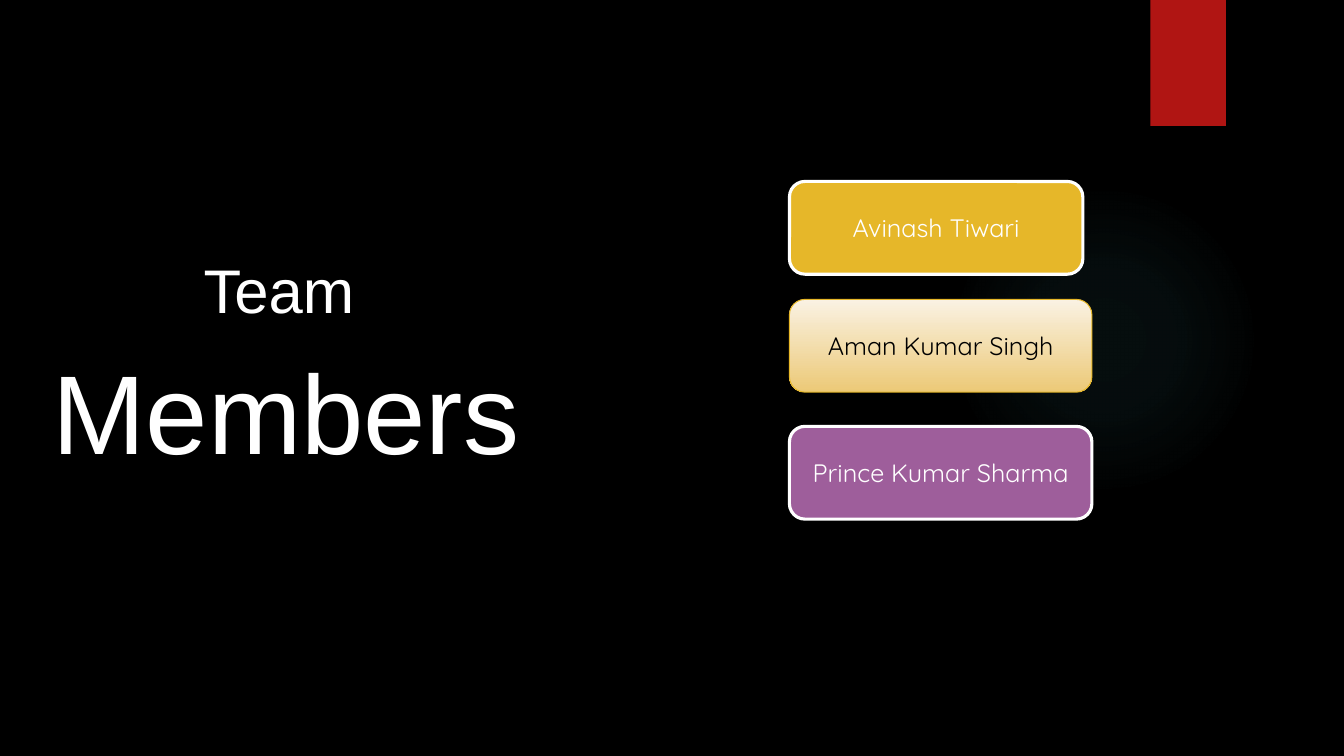
from lxml import etree
from pptx import Presentation
from pptx.dml.color import RGBColor
from pptx.enum.shapes import MSO_SHAPE
from pptx.enum.text import MSO_ANCHOR, MSO_AUTO_SIZE, PP_ALIGN
from pptx.oxml import parse_xml
from pptx.oxml.ns import nsdecls, qn
from pptx.util import Inches, Pt

BLACK = RGBColor(0x00, 0x00, 0x00)
WHITE = RGBColor(0xFF, 0xFF, 0xFF)
RED = RGBColor(0xB0, 0x15, 0x13)
TEAL = RGBColor(0x50, 0xB9, 0xC1)
GOLD = RGBColor(0xE6, 0xB7, 0x29)
CREAM = RGBColor(0xFA, 0xF2, 0xE3)
SAND = RGBColor(0xEC, 0xC9, 0x77)
PURPLE = RGBColor(0x9E, 0x5E, 0x9B)

GLOW_STOPS = [(0, 7), (36, 6), (69, 0)]  # position %, opacity %

CARD_HEIGHT = 0.92
# name, top offset, width, fill colours, line colour, line width, text colour
MEMBERS = [
    ("Avinash Tiwari", 0, 2.91, [GOLD], WHITE, 2.25, WHITE),
    ("Aman Kumar Singh", 1.17, 3, [CREAM, SAND], GOLD, 0.75, BLACK),
    ("Prince Kumar Sharma", 2.43, 3, [PURPLE], WHITE, 2.25, WHITE),
]


def add_plain_shape(slide, kind, left, top, width, height):
    shape = slide.shapes.add_shape(
        kind, Inches(left), Inches(top), Inches(width), Inches(height))
    shape.shadow.inherit = False
    shape.line.fill.background()
    return shape


def add_glow(slide, left, top, size):
    glow = add_plain_shape(slide, MSO_SHAPE.OVAL, left, top, size, size)
    glow.fill.gradient()
    stops = "".join(
        f'<a:gs pos="{position * 1000}"><a:srgbClr val="{TEAL}">'
        f'<a:alpha val="{opacity * 1000}"/></a:srgbClr></a:gs>'
        for position, opacity in GLOW_STOPS)
    radial = parse_xml(
        f'<a:gradFill {nsdecls("a")}><a:gsLst>{stops}</a:gsLst>'
        '<a:path path="circle"><a:fillToRect l="50000" t="50000" '
        'r="50000" b="50000"/></a:path></a:gradFill>')
    properties = glow.element.spPr
    properties.replace(properties.find(qn("a:gradFill")), radial)


def add_backdrop(slide):
    slide.background.fill.solid()
    slide.background.fill.fore_color.rgb = BLACK
    add_glow(slide, 9.41, 1.83, 3.08)
    ribbon = add_plain_shape(slide, MSO_SHAPE.RECTANGLE, 11.41, 0, 0.75, 1.25)
    ribbon.fill.solid()
    ribbon.fill.fore_color.rgb = RED


def fill_title(title, left, top, width, height):
    title.left, title.top = Inches(left), Inches(top)
    title.width, title.height = Inches(width), Inches(height)
    frame = title.text_frame
    frame.word_wrap = True
    frame.auto_size = MSO_AUTO_SIZE.NONE
    frame.vertical_anchor = MSO_ANCHOR.TOP
    frame.margin_top = Inches(0.09)
    heading = frame.paragraphs[0]
    heading.alignment = PP_ALIGN.LEFT
    heading.line_spacing = 1.05
    indent = heading._p.get_or_add_pPr()
    indent.set("marL", "0")
    indent.set("indent", str(Inches(1.5)))
    for words, size in [("Team", 44), (" Members", 80)]:
        run = heading.add_run()
        run.text = words
        run.font.size = Pt(size)
        run.font.name = "Arial"
        run.font.color.rgb = WHITE


def fill_card(card, colours):
    if len(colours) == 1:
        card.fill.solid()
        card.fill.fore_color.rgb = colours[0]
        return
    card.fill.gradient()
    card.fill.gradient_angle = 270
    for stop, colour in zip(card.fill.gradient_stops, colours):
        stop.color.rgb = colour


def add_members(slide, left, top):
    for name, offset, width, colours, line, line_width, text in MEMBERS:
        card = add_plain_shape(slide, MSO_SHAPE.ROUNDED_RECTANGLE,
                               left, top + offset, width, CARD_HEIGHT)
        fill_card(card, colours)
        card.line.color.rgb = line
        card.line.width = Pt(line_width)
        frame = card.text_frame
        frame.text = name
        frame.vertical_anchor = MSO_ANCHOR.MIDDLE
        label = frame.paragraphs[0]
        label.alignment = PP_ALIGN.CENTER
        font = label.runs[0].font
        font.name = "Quicksand"
        font.size = Pt(18)
        font.color.rgb = text


def main():
    deck = Presentation()
    deck.slide_width, deck.slide_height = Inches(13.33), Inches(7.5)
    slide = deck.slides.add_slide(deck.slide_layouts[5])
    add_backdrop(slide)
    fill_title(slide.shapes.title, 0.42, 1.84, 5.18, 2.79)
    add_members(slide, 7.83, 1.8)
    deck.save("out.pptx")


if __name__ == "__main__":
    main()
